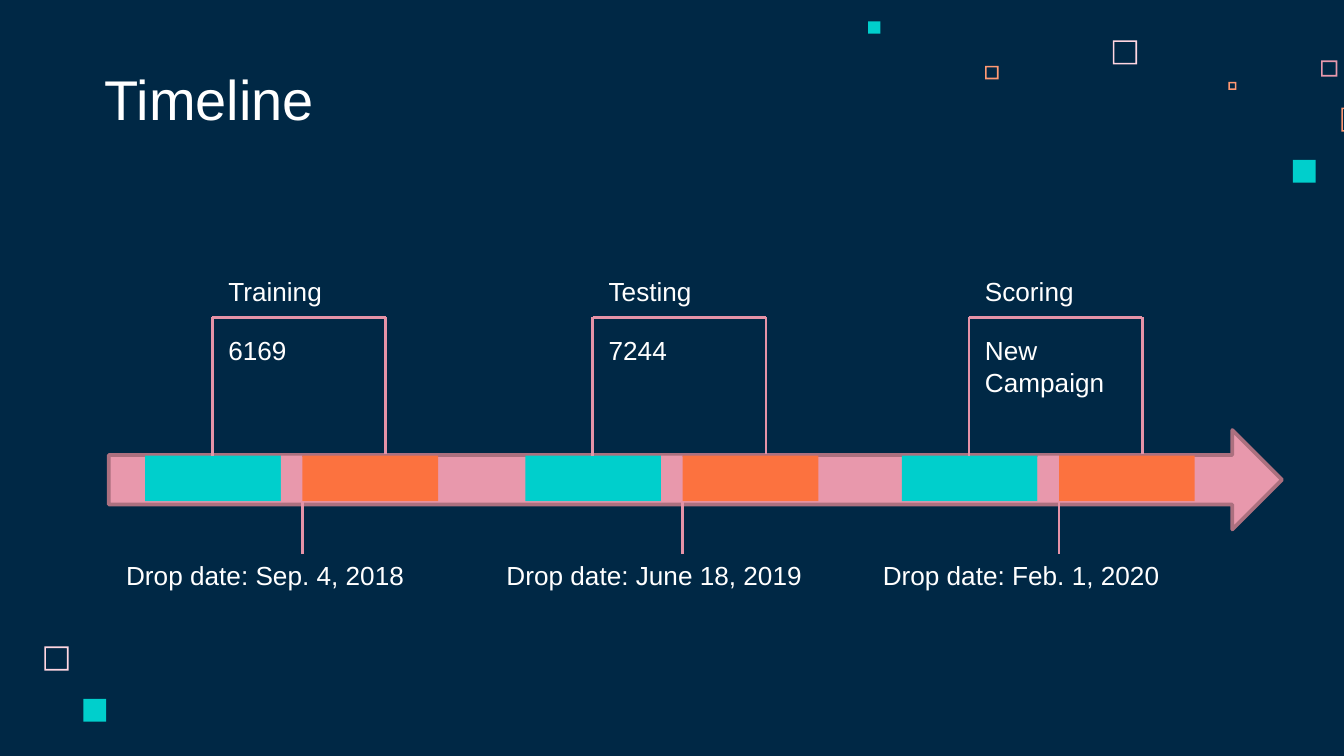
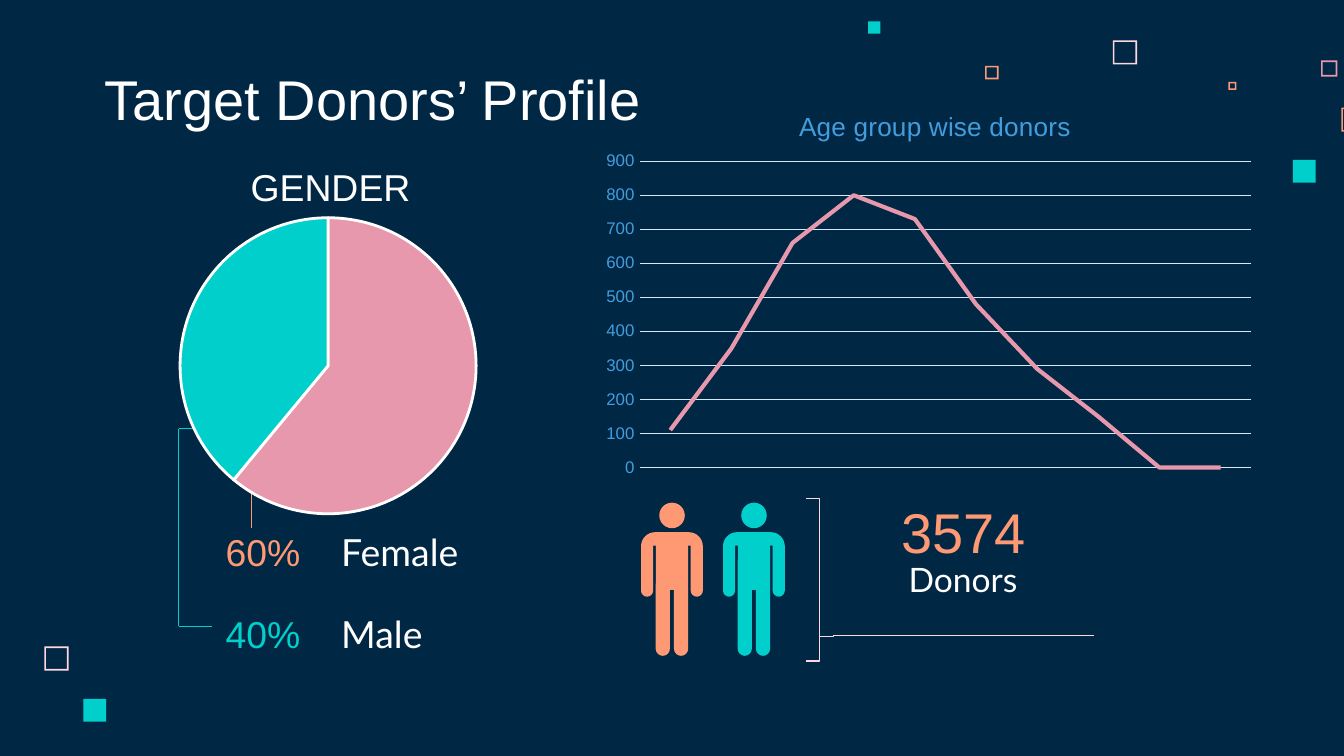
"""Build the timeline slide and the donor profile slide."""
from itertools import pairwise
from math import cos, pi, sin

from lxml.etree import SubElement
from pptx import Presentation
from pptx.chart.data import CategoryChartData
from pptx.dml.color import RGBColor
from pptx.enum.chart import XL_CHART_TYPE, XL_TICK_MARK
from pptx.enum.dml import MSO_LINE
from pptx.enum.shapes import MSO_CONNECTOR, MSO_SHAPE, MSO_SHAPE_TYPE
from pptx.enum.text import MSO_ANCHOR, PP_ALIGN
from pptx.oxml import parse_xml
from pptx.oxml.ns import nsdecls, qn
from pptx.util import Inches, Pt

NAVY, WHITE, TEAL = "002845", "FFFFFF", "00CFCC"
PINK, PALE, ROSE = "E898AC", "FFD6E1", "E593A7"
PEACH, ORANGE, MAUVE = "FF9973", "FC723F", "AC707F"
BLUE, ICE = "439DDD", "D4E8F7"
LEFT, MID = PP_ALIGN.LEFT, PP_ALIGN.CENTER
TOP, LOW, HALF = MSO_ANCHOR.TOP, MSO_ANCHOR.BOTTOM, MSO_ANCHOR.MIDDLE


def cells(*spans):
    """Turn grid cells, a hundred to the slide's width, into lengths."""
    return [Inches(span / 10) for span in spans]


def paint(fill, tone):
    """Fill with one hex colour."""
    fill.solid()
    fill.fore_color.rgb = RGBColor.from_string(tone)


deck = Presentation()
deck.slide_width, deck.slide_height = cells(100, 56.25)
plan, donors = [deck.slides.add_slide(deck.slide_layouts[6]) for _ in range(2)]

squares = [
    (82.8, 3, 1.8, PALE, True), (98.3, 4.5, 1.2, PINK, True),
    (91.4, 6.1, 0.6, PEACH, True), (99.8, 8, 1.8, PEACH, True),
    (96.2, 11.9, 1.7, TEAL, False), (73.3, 4.9, 1, PEACH, True),
    (64.6, 1.6, 0.9, TEAL, False), (3.3, 48.1, 1.8, PALE, True),
    (6.2, 52, 1.7, TEAL, False),
]
plain, lines, texts = [], [], []

for slide, title in [(plan, "Timeline"), (donors, "Target Donors’ Profile")]:
    paint(slide.background.fill, NAVY)
    for x, y, size, tone, hollow in squares:
        kind = MSO_SHAPE.FRAME if hollow else MSO_SHAPE.RECTANGLE
        square = slide.shapes.add_shape(kind, *cells(x, y, size, size))
        if hollow:
            square.adjustments[0] = 0.12 / size
        plain.append((square, tone))
    texts.append((slide, (6.8, 4.5, 51.7, 6.3), title, 30, WHITE, "Arial", LEFT, LOW, 1))

arrow = plan.shapes.add_shape(MSO_SHAPE.RIGHT_ARROW, *cells(8.1, 32, 87.3, 7.4))
paint(arrow.fill, PINK)
paint(arrow.line.fill, MAUVE)
arrow.line.width = Pt(2)

stages = [
    (10.8, "Training", "6169", "Drop date: Sep. 4, 2018"),
    (39.1, "Testing", "7244", "Drop date: June 18, 2019"),
    (67.1, "Scoring", "New Campaign", "Drop date: Feb. 1, 2020"),
]
for x, name, count, date in stages:
    for step, wide, tone in [(0, 10.1, TEAL), (10.1, 1.6, PINK), (11.7, 10.1, ORANGE)]:
        block = plan.shapes.add_shape(
            MSO_SHAPE.RECTANGLE, *cells(x + step, 33.9, wide, 3.4))
        plain.append((block, tone))
    gate = [(x + 5, 33.9), (x + 5, 23.6), (x + 17.9, 23.6), (x + 17.9, 33.8)]
    drop = [(x + 11.7, 37.3), (x + 11.7, 41.2)]
    lines += [(plan, gate, ROSE, 1.5), (plan, drop, ROSE, 1.5)]
    tall = 5.7 if " " in count else 3.4
    for box, text in [
        ((x + 5.2, 20, 12.9, 3.4), name),
        ((x + 5.2, 24.4, 12.9, tall), count),
        ((x - 2.4, 41.1, 25, 3.4), date),
    ]:
        texts.append((plan, box, text, 14, WHITE, "Arial", LEFT, TOP, 0.5))

lines += [
    (donors, [(17.5, 31.9), (13.3, 31.9), (13.3, 46.6), (15.8, 46.6)], TEAL, 0.75),
    (donors, [(18.7, 39.3), (18.7, 33.6)], PEACH, 0.75),
    (donors, [(62, 47.3), (81.4, 47.3)], PALE, 0.75),
]
for slide, points, tone, width in lines:
    for start, end in pairwise(points):
        link = slide.shapes.add_connector(MSO_CONNECTOR.STRAIGHT, *cells(*start, *end))
        paint(link.line.fill, tone)
        link.line.width = Pt(width)

half = [(0, 0)]
for hub, drop, size, first, last, after in [
    (1.25, 1.05, 1.05, -pi / 2, 0, []),
    (1.85, 4.35, 0.45, 0, pi, [(1.4, 1), (1.2, 1)]),
    (0.68, 8.67, 0.53, 0, pi, [(0.15, 4.3), (0, 4.3)]),
]:
    turns = [first + (last - first) * step / 8 for step in range(9)]
    half += [(hub + size * cos(turn), drop + size * sin(turn)) for turn in turns]
    half += after
body = half + [(-x, y) for x, y in reversed(half)]

for x, tone in [(50, PEACH), (56.1, TEAL)]:
    spots = [cells(x + dx, 39.6 + dy) for dx, dy in body]
    form = donors.shapes.build_freeform(*spots[0])
    form.add_line_segments(spots[1:], close=True)
    head = donors.shapes.add_shape(MSO_SHAPE.OVAL, *cells(x - 0.95, 37.4, 1.9, 1.9))
    plain += [(form.convert_to_shape(), tone), (head, tone)]

brace = donors.shapes.add_shape(MSO_SHAPE.RIGHT_BRACE, *cells(60, 37.1, 2, 12.1))
brace.adjustments[0], brace.adjustments[1] = 0, 0.85
brace.fill.background()
paint(brace.line.fill, PALE)
brace.line.width = Pt(0.75)

for box, text, size, tone, font, align, anchor in [
    ((14.3, 11.2, 20.6, 4.3), "GENDER", 20, WHITE, "Arial", MID, TOP),
    ((15.8, 38.4, 9.2, 4.3), "60%", 20, PEACH, "Arial", LEFT, TOP),
    ((24.4, 38.4, 13.2, 4.3), "Female", 20, WHITE, "Lato", LEFT, TOP),
    ((15.8, 44.5, 9.2, 4.3), "40%", 20, TEAL, "Arial", LEFT, TOP),
    ((24.4, 44.5, 9.2, 4.3), "Male", 20, WHITE, "Lato", LEFT, TOP),
    ((63, 37.4, 17.4, 4.3), "3574", 30, PEACH, "Arial", MID, HALF),
    ((62.1, 40.6, 19.1, 4.3), "Donors", 18, WHITE, "Lato", MID, TOP),
]:
    texts.append((donors, box, text, size, tone, font, align, anchor, 1))

charts = []
for kind, box, values, area in [
    (XL_CHART_TYPE.PIE, (2.6, 14.7, 43.2, 24.8), (61, 39), (0.25, 0.06, 0.51, 0.89)),
    (XL_CHART_TYPE.LINE, (44.1, 6.3, 50, 30),
     (110, 350, 660, 800, 730, 480, 290, 150, 0, 0), (0.07, 0.19, 0.91, 0.76)),
]:
    data = CategoryChartData()
    data.categories = [str(n + 1) for n in range(len(values))]
    data.add_series("Series 1", values)
    chart = donors.shapes.add_chart(kind, *cells(*box), data).chart
    chart.has_legend = chart.has_title = False
    chart.font.name, chart.font.size = "Arial", Pt(10)
    paint(chart.font.fill, BLUE)
    plot = chart._chartSpace.chart.plotArea
    for old in plot.findall(qn("c:layout")):
        plot.remove(old)
    layout = parse_xml(f'<c:layout {nsdecls("c")}><c:manualLayout/></c:layout>')
    marks = [("layoutTarget", "inner"), ("xMode", "edge"), ("yMode", "edge")]
    for tag, value in marks + list(zip("xywh", area)):
        SubElement(layout[0], qn(f"c:{tag}")).set("val", str(value))
    plot.insert(0, layout)
    charts.append(chart)
pie, trend = charts

pie.plots[0].vary_by_categories = True
for n, tone in enumerate([PINK, TEAL]):
    slice = pie.plots[0].series[0].points[n].format
    paint(slice.fill, tone)
    paint(slice.line.fill, WHITE)
    slice.line.width = Pt(1.5)

trend.plots[0].vary_by_categories = False
curve = trend.plots[0].series[0]
curve.smooth = False
paint(curve.format.line.fill, PINK)
curve.format.line.width = Pt(2.25)
curve.format.line.dash_style = MSO_LINE.SOLID
trend.category_axis.visible = False
axis = trend.value_axis
axis.minimum_scale, axis.maximum_scale, axis.major_unit = 0, 900, 100
axis.major_tick_mark = axis.minor_tick_mark = XL_TICK_MARK.NONE
axis.format.line.fill.background()
axis.tick_labels.font.name, axis.tick_labels.font.size = "Arial", Pt(9)
paint(axis.tick_labels.font.fill, BLUE)
paint(axis.major_gridlines.format.line.fill, ICE)
axis.major_gridlines.format.line.width = Pt(0.75)

trend.has_title = True
trend.chart_title.include_in_layout = False
run = trend.chart_title.text_frame.paragraphs[0].add_run()
run.text = "Age group wise donors"
run.font.name, run.font.size, run.font.bold = "Arial", Pt(14), False
paint(run.font.fill, BLUE)
head = trend.chart_title._element
for old in head.findall(qn("c:layout")):
    head.remove(old)
layout = parse_xml(f'<c:layout {nsdecls("c")}><c:manualLayout/></c:layout>')
for tag, value in [("xMode", "edge"), ("yMode", "edge"), ("x", 0.3), ("y", 0.05)]:
    SubElement(layout[0], qn(f"c:{tag}")).set("val", str(value))
head.find(qn("c:tx")).addnext(layout)

for slide, box, text, size, tone, font, align, anchor, pad in texts:
    frame = slide.shapes.add_textbox(*cells(*box)).text_frame
    frame.word_wrap, frame.vertical_anchor = True, anchor
    frame.margin_left, frame.margin_right = cells(1, 1)
    frame.margin_top, frame.margin_bottom = cells(pad, pad)
    frame.paragraphs[0].alignment = align
    run = frame.paragraphs[0].add_run()
    run.text = text
    run.font.name, run.font.size = font, Pt(size)
    paint(run.font.fill, tone)

for shape, tone in plain:
    paint(shape.fill, tone)
    shape.line.fill.background()
for slide in deck.slides:
    for shape in slide.shapes:
        if shape.shape_type == MSO_SHAPE_TYPE.LINE:
            SubElement(shape._element.spPr, qn("a:effectLst"))
        elif shape.shape_type in (MSO_SHAPE_TYPE.AUTO_SHAPE, MSO_SHAPE_TYPE.FREEFORM):
            shape.shadow.inherit = False

deck.save("out.pptx")
